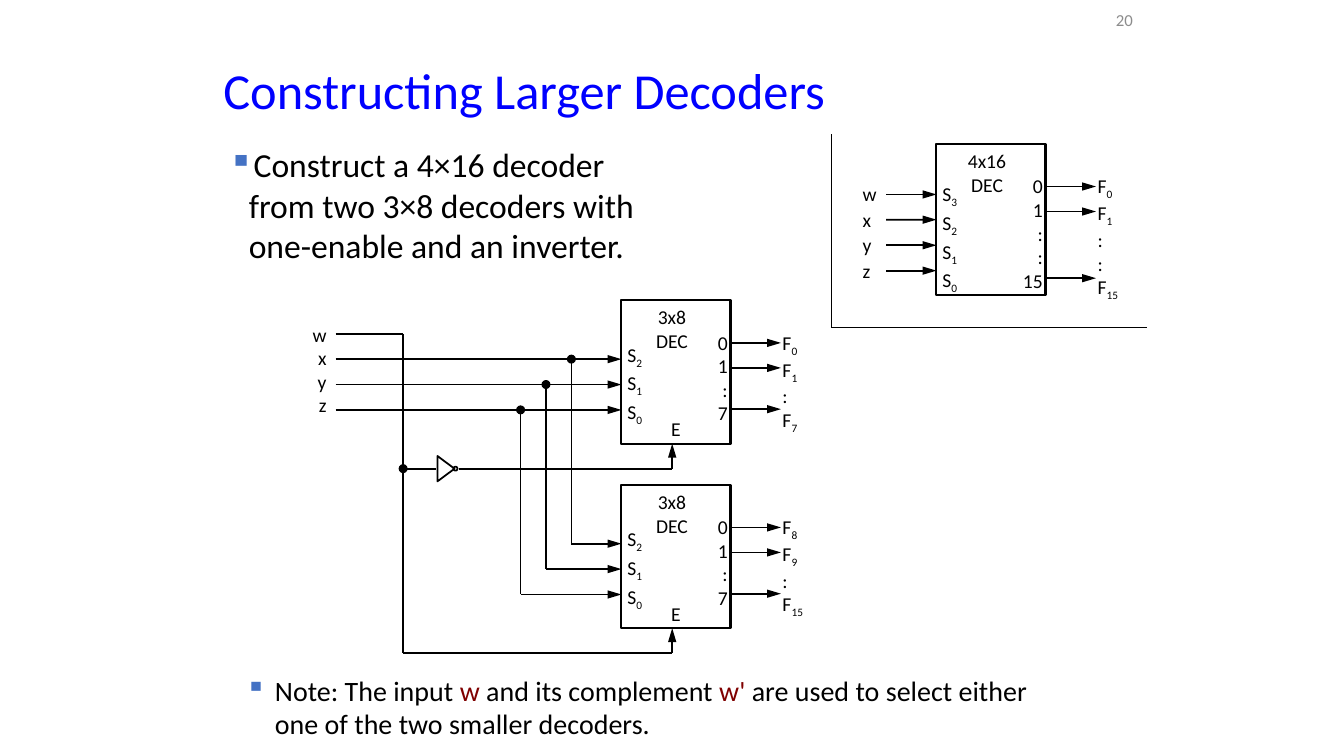
"""Build the slide on constructing a 4x16 decoder from two 3x8 decoders."""
import pptx
import pptx.dml.color
import pptx.enum.shapes
import pptx.enum.text
import pptx.oxml.ns
import pptx.util
from lxml import etree

Cm = pptx.util.Cm
Pt = pptx.util.Pt
color = pptx.dml.color.RGBColor.from_string
qn = pptx.oxml.ns.qn
SHAPE = pptx.enum.shapes.MSO_SHAPE
ALIGN = pptx.enum.text.PP_ALIGN
ANCHOR = pptx.enum.text.MSO_ANCHOR

deck = pptx.Presentation()
deck.slide_width, deck.slide_height = Cm(33.87), Cm(19.05)
slide = deck.slides.add_slide(deck.slide_layouts[6])


def write(lines, left, top, width, height, size=14, ink="000000", accent=None,
          align=ALIGN.LEFT, anchor=ANCHOR.TOP, gap=0, spacing=None, hang=None):
    """Write lines; every second part between bars is accented, or a subscript."""
    frame = slide.shapes.add_textbox(Cm(left), Cm(top), Cm(width), Cm(height)).text_frame
    frame.word_wrap = True
    frame.vertical_anchor = anchor
    for number, line in enumerate(lines):
        paragraph = frame.paragraphs[0] if number == 0 else frame.add_paragraph()
        if hang:
            properties = paragraph._p.get_or_add_pPr()
            properties.set("marL", str(Cm(hang)))
            properties.set("indent", str(-Cm(hang)))
            bullet_color = etree.SubElement(properties, qn("a:buClr"))
            etree.SubElement(bullet_color, qn("a:srgbClr"), val="4472C4")
            etree.SubElement(properties, qn("a:buChar"), char="▪")
        paragraph.alignment = align
        if spacing:
            paragraph.line_spacing = spacing
        if gap and number:
            paragraph.space_before = Pt(gap)
        for index, part in enumerate(line.split("|")):
            run = paragraph.add_run()
            run.text = part
            run.font.name = "Calibri"
            run.font.size = Pt(size)
            accented = index % 2 == 1
            run.font.color.rgb = color(accent if accented and accent else ink)
            if accented and not accent:
                run._r.get_or_add_rPr().set("baseline", "-25000")


def wire(x1, y1, x2, y2, arrow=False, weight=1.25):
    """Draw a straight wire, with an arrowhead at its end if asked."""
    line = slide.shapes.add_connector(
        pptx.enum.shapes.MSO_CONNECTOR.STRAIGHT, Cm(x1), Cm(y1), Cm(x2), Cm(y2))
    line.line.color.rgb = color("000000")
    line.line.width = Pt(weight)
    if arrow:
        etree.SubElement(line.line._get_or_add_ln(), qn("a:tailEnd"),
                         type="triangle", w="med", len="lg")
    etree.SubElement(line._element.spPr, qn("a:effectLst"))
    return line


write(["Constructing Larger Decoders"], 5.38, 1.45, 23.39, 1.78, size=36,
      ink="0000FF", anchor=ANCHOR.MIDDLE, spacing=0.9)
write(["20"], 26.39, 0.05, 2.41, 0.91, size=12, ink="8C8C8C",
      align=ALIGN.RIGHT, anchor=ANCHOR.MIDDLE)
write(["Construct a 4×16 decoder from two 3×8 decoders with one-enable and an inverter."],
      5.51, 3.51, 11.23, 4.42, size=24, hang=0.51)

pitch = 0.64
decoder_width = 2.75
small_height = 3.61
upper_top, lower_top = 7.57, 12.22
small_left = 15.66
first_select = 1.48
tap_columns = [14.4 - pitch * row for row in range(3)]

decoders = [
    ("4x16", 23.6, 3.63, 3.81, 0.84, 1.27, [22.33] * 4,
     ["0", "1", ":", ":", "15"], ["F|0", "F|1", ":", ":", "F|15"], 3.38),
    ("3x8", small_left, upper_top, small_height, 0.94, first_select, [8.46] * 3,
     ["0", "1", ":", "7"], ["F|0", "F|1", ":", "F|7"], 2.74),
    ("3x8", small_left, lower_top, small_height, 0.94, first_select, tap_columns,
     ["0", "1", ":", "7"], ["F|8", "F|9", ":", "F|15"], 2.74),
]
for (name, left, top, height, select_top, first_input, starts,
     outputs, functions, last_output) in decoders:
    decoder = slide.shapes.add_shape(SHAPE.RECTANGLE, Cm(left), Cm(top),
                                     Cm(decoder_width), Cm(height))
    decoder.shadow.inherit = False
    decoder.fill.background()
    decoder.line.color.rgb = color("000000")
    decoder.line.width = Pt(1.5)
    right = left + decoder_width
    write([name, "DEC"], left + 0.22, top, 2.11, 1.45, align=ALIGN.CENTER)
    selects = [f"S|{bit}" for bit in reversed(range(len(starts)))]
    write(selects, left - 0.1, top + select_top, 1.19, 2.5, gap=1.4)
    for row, start in enumerate(starts):
        y = top + first_input + pitch * row
        select_wire = wire(start, y, left, y, arrow=True)
        if name == "4x16" and row == 1:
            select_wire.end_connect(decoder, 1)
    for offset in (1.07, 1.7, last_output):
        wire(right, top + offset, right + 1.27, top + offset, arrow=True)
    write(outputs, left + 1.86, top + 0.64, 1.07, 2.64, align=ALIGN.RIGHT)
    write(functions, left + 3.81, top + 0.64, 1.47, 2.64)
    if name == "3x8":
        write(["E"], left + 0.84, top + 2.82, 1.07, 0.84, align=ALIGN.CENTER)

inputs = ["w", "x", "y", "z"]
write(inputs, 21.49, 4.47, 0.84, 2.82, gap=1.4)
write(inputs, 7.42, 8, 1.06, 2.64, align=ALIGN.RIGHT)

w_column, enable_column = 10.16, 16.94
w_row, inverter_row, bottom_row = 8.41, 11.81, 16.46
wire(8.46, w_row, w_column, w_row)
wire(w_column, w_row, w_column, bottom_row)
wire(w_column, bottom_row, enable_column, bottom_row)
wire(w_column, inverter_row, 11, inverter_row)
wire(11.56, inverter_row, enable_column, inverter_row)
wire(enable_column, inverter_row, enable_column, upper_top + small_height, arrow=True)
wire(enable_column, bottom_row, enable_column, lower_top + small_height, arrow=True)

junctions = [(w_column, inverter_row)]
for row, column in enumerate(tap_columns):
    tap = first_select + pitch * row
    wire(column, upper_top + tap, column, lower_top + tap)
    junctions.append((column, upper_top + tap))

symbols = [(SHAPE.FLOWCHART_MERGE, 11.24, inverter_row, 0.64, 0.43, 270, False),
           (SHAPE.OVAL, 11.48, inverter_row, 0.1, 0.1, 0, False)]
symbols += [(SHAPE.OVAL, x, y, 0.2, 0.2, 0, True) for x, y in junctions]
for kind, x, y, width, height, turn, solid in symbols:
    symbol = slide.shapes.add_shape(kind, Cm(x - width / 2), Cm(y - height / 2),
                                    Cm(width), Cm(height))
    symbol.rotation = turn
    symbol.shadow.inherit = False
    symbol.line.color.rgb = color("000000")
    symbol.line.width = Pt(0.75 if solid else 1.25)
    if solid:
        symbol.fill.solid()
        symbol.fill.fore_color.rgb = color("000000")
    else:
        symbol.fill.background()

write(["Note: The input |w| and its complement |w'| are used to select either one of "
       "the two smaller decoders."],
      5.94, 16.84, 21.06, 1.91, size=20, accent="800000", hang=0.74)
wire(20.96, 8.26, 28.91, 8.26, weight=0.75)
wire(20.96, 8.26, 20.96, 3.38, weight=0.75)

deck.save("out.pptx")
